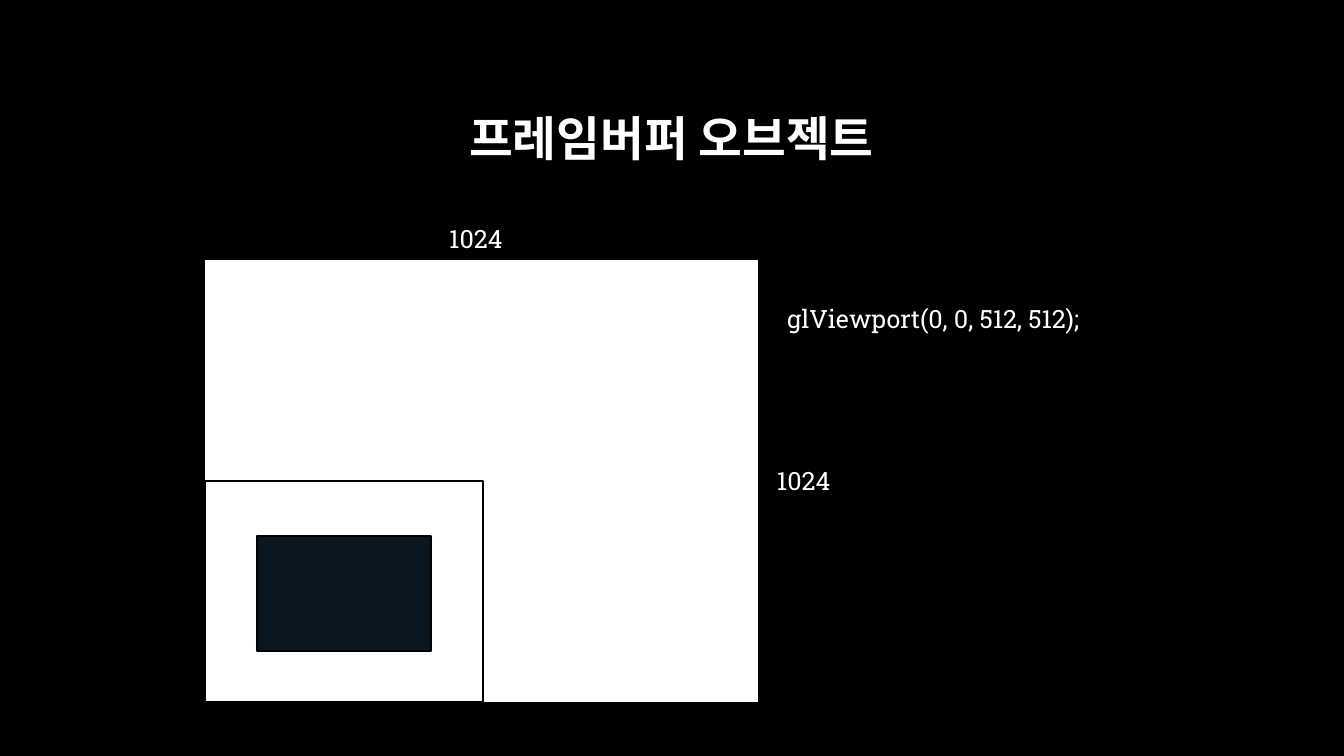
"""Build a slide that shows a viewport inside a framebuffer object."""
from pptx import Presentation
from pptx.dml.color import RGBColor
from pptx.enum.shapes import MSO_SHAPE
from pptx.enum.text import MSO_ANCHOR, MSO_AUTO_SIZE, PP_ALIGN
from pptx.util import Inches, Pt

BLACK = RGBColor(0x00, 0x00, 0x00)
WHITE = RGBColor(0xFF, 0xFF, 0xFF)
NAVY = RGBColor(0x0A, 0x17, 0x20)
FONT = "Roboto Slab"


def style_paragraph(p, size, align, bold=False):
    p.alignment = align
    p.font.name = FONT
    p.font.size = Pt(size)
    p.font.bold = bold
    p.font.color.rgb = WHITE


def set_title(slide, text):
    title = slide.shapes.title
    title.left, title.top = Inches(1), Inches(0.67)
    title.width, title.height = Inches(11.32), Inches(1.45)
    tf = title.text_frame
    tf.text = text
    tf.vertical_anchor = MSO_ANCHOR.MIDDLE
    p = tf.paragraphs[0]
    p.line_spacing = 0.9
    style_paragraph(p, 34, PP_ALIGN.CENTER, bold=True)


def add_label(slide, text, left, top, width, align=PP_ALIGN.CENTER):
    box = slide.shapes.add_textbox(
        Inches(left), Inches(top), Inches(width), Inches(0.4))
    tf = box.text_frame
    tf.word_wrap = True
    tf.auto_size = MSO_AUTO_SIZE.SHAPE_TO_FIT_TEXT
    tf.text = text
    style_paragraph(tf.paragraphs[0], 18, align)


def add_box(shapes, left, top, width, height, fill):
    sp = shapes.add_shape(
        MSO_SHAPE.RECTANGLE,
        Inches(left), Inches(top), Inches(width), Inches(height))
    sp.shadow.inherit = False
    sp.fill.solid()
    sp.fill.fore_color.rgb = fill
    sp.line.color.rgb = BLACK
    sp.line.width = Pt(1.5)


def main():
    prs = Presentation()
    prs.slide_width, prs.slide_height = Inches(13.33), Inches(7.5)
    slide = prs.slides.add_slide(prs.slide_layouts[5])
    slide.background.fill.solid()
    slide.background.fill.fore_color.rgb = BLACK

    set_title(slide, "프레임버퍼 오브젝트")
    add_box(slide.shapes, 2.02, 2.57, 5.51, 4.41, WHITE)
    add_label(slide, "1024", 3.97, 2.17, 1.5)
    add_label(slide, "1024", 7.22, 4.57, 1.5)
    add_label(slide, "glViewport(0, 0, 512, 512);", 7.71, 2.96, 3.94,
              PP_ALIGN.LEFT)

    viewport = slide.shapes.add_group_shape()
    add_box(viewport.shapes, 2.03, 4.77, 2.76, 2.2, WHITE)
    add_box(viewport.shapes, 2.55, 5.32, 1.73, 1.14, NAVY)

    prs.save("out.pptx")


if __name__ == "__main__":
    main()
